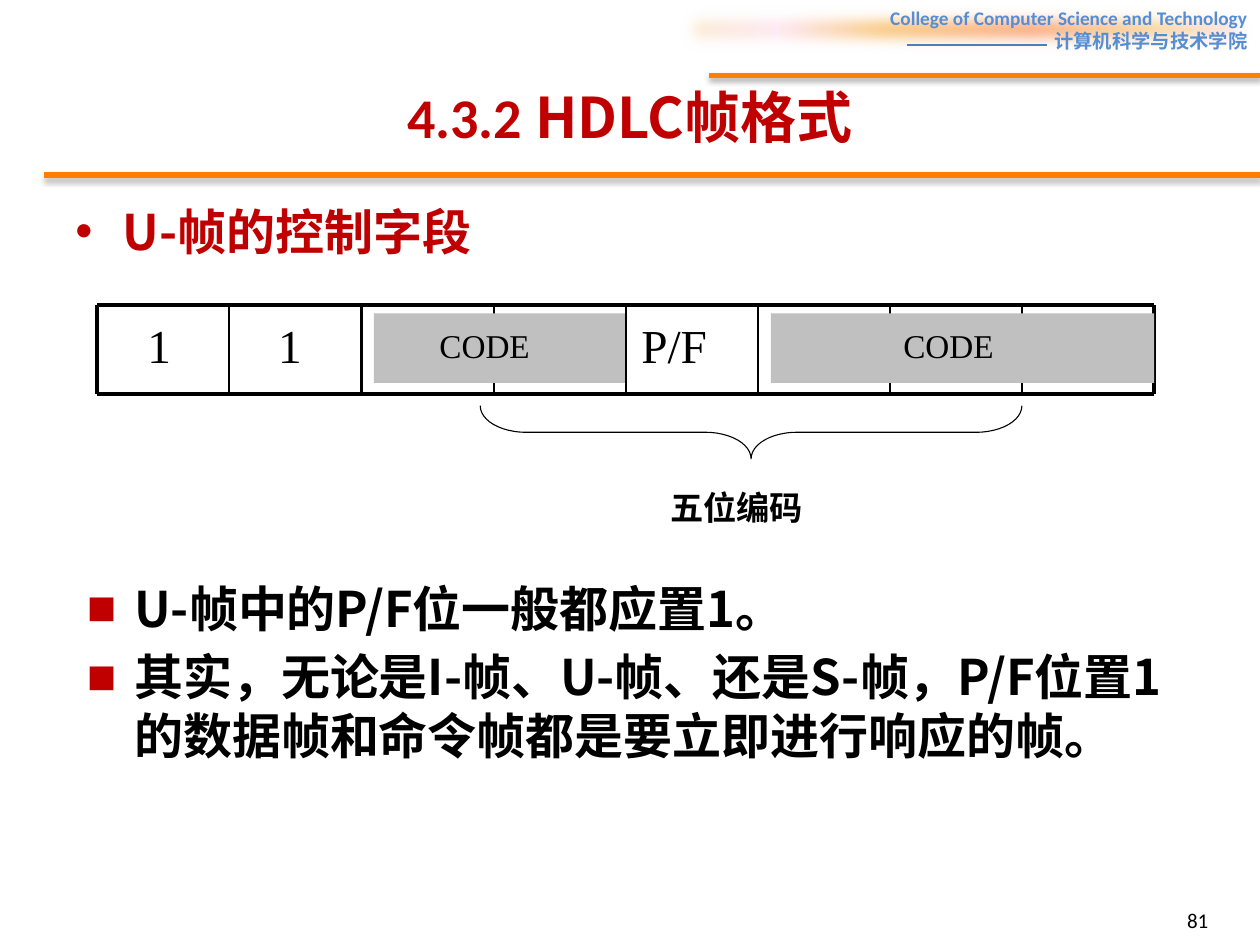
from lxml import etree
from pptx import Presentation
from pptx.dml.color import RGBColor
from pptx.enum.shapes import MSO_CONNECTOR, MSO_SHAPE
from pptx.enum.text import MSO_ANCHOR, PP_ALIGN
from pptx.oxml import parse_xml
from pptx.oxml.ns import qn
from pptx.util import Cm, Pt

LINE = MSO_CONNECTOR.STRAIGHT
RECT, BRACE = MSO_SHAPE.RECTANGLE, MSO_SHAPE.RIGHT_BRACE
LEFT, CENTER, RIGHT = PP_ALIGN.LEFT, PP_ALIGN.CENTER, PP_ALIGN.RIGHT
TOP, MIDDLE = MSO_ANCHOR.TOP, MSO_ANCHOR.MIDDLE
SANS, CJK, SERIF = "Calibri", "Noto Sans CJK SC", "Times New Roman"
C = {"black": "000000", "red": "C00000", "orange": "FF8000", "gray": "C0C0C0",
     "blue": "558ED5", "rule": "4B7EBC"}
BAND = [(0, "FBEAC7"), (18, "FEE7F2"), (36, "FAC77D"),
        (61, "FBA97D"), (82, "FBD49C"), (100, "FEE7F2")]
NS = 'xmlns:a="http://schemas.openxmlformats.org/drawingml/2006/main"'
SHADOW = (f'<a:effectLst {NS}><a:outerShdw blurRad="39370" dist="22860" dir="5400000" '
          'rotWithShape="0"><a:srgbClr val="000000"><a:alpha val="35000"/></a:srgbClr>'
          '</a:outerShdw></a:effectLst>')

prs = Presentation()
prs.slide_width, prs.slide_height = Cm(25.4), Cm(19.05)
s = prs.slides.add_slide(prs.slide_layouts[6])


def add_text(box, paragraphs, size, font, color, bold=False, align=LEFT,
             anchor=TOP, bullet=None, inset=True):
    sp = s.shapes.add_textbox(*[Cm(v) for v in box])
    tf = sp.text_frame
    tf.word_wrap, tf.vertical_anchor = True, anchor
    if not inset:
        tf.margin_left = tf.margin_right = tf.margin_top = tf.margin_bottom = 0
    tf.text = "\n".join(paragraphs)
    for i, p in enumerate(tf.paragraphs):
        p.alignment = align
        if bullet:
            pPr = p._p.get_or_add_pPr()
            pPr.set("marL", str(Cm(0.96)))
            pPr.set("indent", str(-Cm(0.96)))
            clr = etree.SubElement(pPr, qn("a:buClr"))
            etree.SubElement(clr, qn("a:srgbClr"), val=C["red"])
            etree.SubElement(pPr, qn("a:buFont"), typeface="Arial")
            etree.SubElement(pPr, qn("a:buChar"), char=bullet)
            if i:
                p.space_before = Pt(5.6)
        for r in p.runs:
            r.font.size, r.font.bold, r.font.name = Pt(size), bold, font
            r.font.color.rgb = RGBColor.from_string(C[color])
            etree.SubElement(r._r.get_or_add_rPr(), qn("a:ea"), typeface=CJK)
    return tf


def add_line(x1, y1, x2, y2, color, width, effect=f"<a:effectLst {NS}/>"):
    line = s.shapes.add_connector(LINE, Cm(x1), Cm(y1), Cm(x2), Cm(y2))
    line.line.color.rgb = RGBColor.from_string(C[color])
    line.line.width = Pt(width)
    line._element.spPr.append(parse_xml(effect))


# Section heading
add_text((1.27, 3.94, 22.86, 1.6), ["U-帧的控制字段"], 28, CJK, "red", True, bullet="•")

# Control field: eight equal bit cells
x0, x1, y0, y1 = 1.96, 23.27, 6.15, 7.95
cell = (x1 - x0) / 8
for x, w, text in [(2.97, 0.6, "1"), (5.61, 0.6, "1"), (12.93, 1.6, "P/F")]:
    add_text((x, 6.38, w, 1.14), [text], 27, SERIF, "black", inset=False)
for y in (y0, y1):
    add_line(x0, y, x1, y, "black", 2.38)
for i in range(9):
    x = x0 + i * cell
    add_line(x, y0, x, y1, "black", 2.38 if i in (0, 8) else 1.25)

# Code blocks over the cells
for x, w, text_x in [(7.54, 5.06, 8.86), (15.54, 7.73, 18.21)]:
    sp = s.shapes.add_shape(RECT, Cm(x), Cm(6.32), Cm(w), Cm(1.4))
    sp.shadow.inherit = False
    sp.fill.solid()
    sp.fill.fore_color.rgb = RGBColor.from_string(C["gray"])
    sp.line.fill.background()
    add_text((text_x, 6.55, 2, 0.81), ["CODE"], 19, SERIF, "black", inset=False)

# Brace turned to point down, with its label
bx, by, length, depth = 9.68, 8.18, 10.92, 1.07
sp = s.shapes.add_shape(BRACE, Cm(bx + (length - depth) / 2),
                        Cm(by - (length - depth) / 2), Cm(depth), Cm(length))
sp.rotation = 90
sp.adjustments[0] = 0.86
sp.shadow.inherit = False
sp.fill.background()
sp.line.color.rgb = RGBColor.from_string(C["black"])
sp.line.width = Pt(0.63)
add_text((13.51, 9.83, 2.8, 0.81), ["五位编码"], 19, CJK, "black", True, inset=False)

# College header on a soft gradient band
sp = s.shapes.add_shape(RECT, Cm(13.54), 0, Cm(11.86), Cm(1.19))
sp.line.fill.background()
stops = "".join(f'<a:gs pos="{pos * 1000}"><a:srgbClr val="{c}"/></a:gs>' for pos, c in BAND)
spPr = sp._element.spPr
spPr.insert(2, parse_xml(f'<a:gradFill {NS}><a:gsLst>{stops}</a:gsLst>'
                         '<a:lin ang="0" scaled="0"/></a:gradFill>'))
spPr.append(parse_xml(f'<a:effectLst {NS}><a:softEdge rad="127000"/></a:effectLst>'))
add_text((13.54, 0, 11.86, 1.19),
         ["College of Computer Science and Technology", "计算机科学与技术学院"],
         11, SANS, "blue", True, RIGHT)
add_line(18.29, 0.91, 21.11, 0.91, "rule", 0.75)

# Orange rules
for x, y in [(0.89, 3.53), (14.3, 1.52)]:
    add_line(x, y, 25.4, y, "orange", 3, SHADOW)

# Page number
add_text((18.69, 18.03, 5.92, 1.02), ["81"], 12, SANS, "black", align=RIGHT, anchor=MIDDLE)

# Title, with the section number in its own font
tf = add_text((1.27, 0.76, 22.86, 3.18), ["4.3.2"], 32, SANS, "red", True, CENTER, MIDDLE)
r = tf.paragraphs[0].add_run()
r.text = " HDLC帧格式"
r.font.size, r.font.bold, r.font.name = Pt(32), True, CJK
r.font.color.rgb = RGBColor.from_string(C["red"])
etree.SubElement(r._r.get_or_add_rPr(), qn("a:ea"), typeface=CJK)

# Notes on the P/F bit
add_text((1.5, 11.53, 22.86, 4.88),
         ["U-帧中的P/F位一般都应置1。",
          "其实，无论是I-帧、U-帧、还是S-帧，P/F位置1的数据帧和命令帧都是要立即进行响应的帧。"],
         28, CJK, "black", True, bullet="■")

prs.save("out.pptx")
